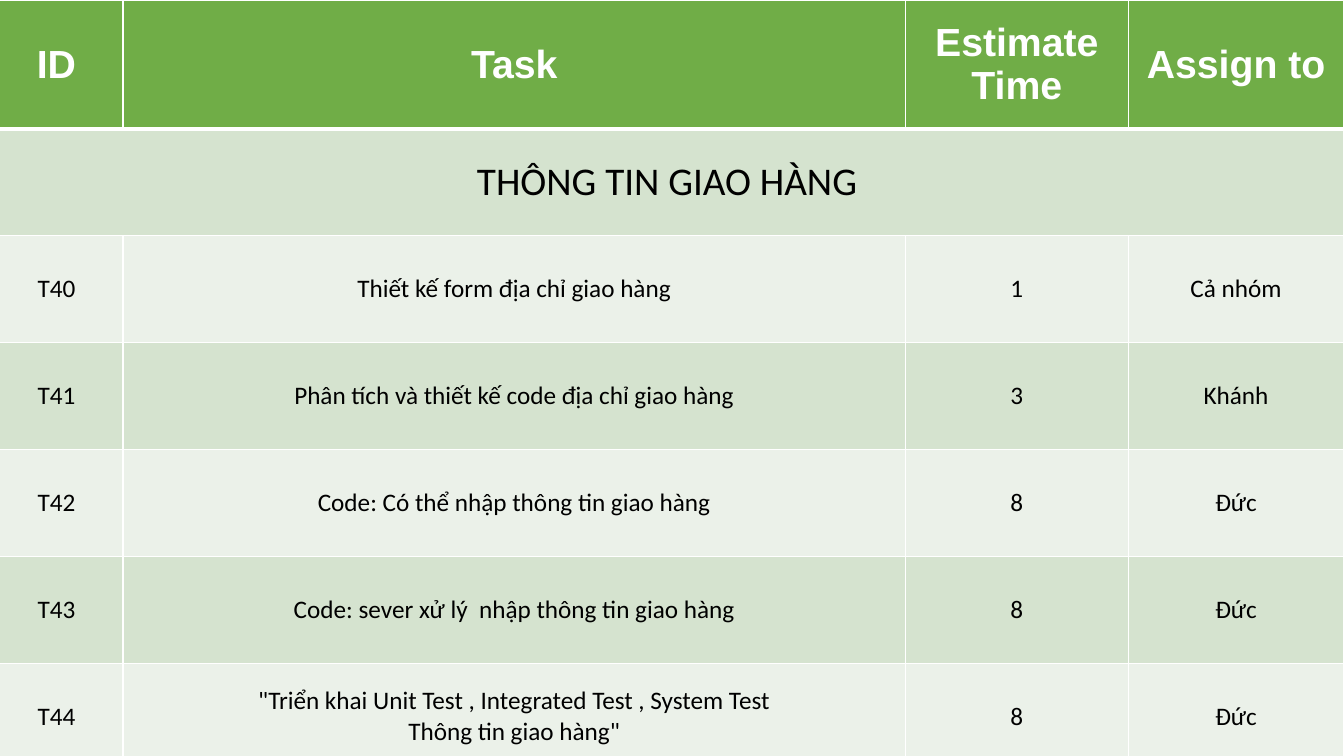
from lxml import etree
from pptx import Presentation
from pptx.dml.color import RGBColor
from pptx.enum.text import MSO_ANCHOR, PP_ALIGN
from pptx.oxml.ns import qn
from pptx.util import Inches, Pt

CENTER = PP_ALIGN.CENTER
MIDDLE = MSO_ANCHOR.MIDDLE
COLORS = {
    "head": "70AD47",
    "dark": "D5E3CF",
    "light": "EBF1E9",
    "white": "FFFFFF",
    "black": "000000",
}
COLS = [1.32, 7.76, 2.21, 2.14]
HEAD_H, ROW_H = 1.28, 1.06
HEADS = ["ID", "Task", "Estimate Time", "Assign to"]
TITLE = "THÔNG TIN GIAO HÀNG"
TASKS = [
    ("T40", "Thiết kế form địa chỉ giao hàng", "1", "Cả nhóm"),
    ("T41", "Phân tích và thiết kế code địa chỉ giao hàng", "3", "Khánh"),
    ("T42", "Code: Có thể nhập thông tin giao hàng", "8", "Đức"),
    ("T43", "Code: sever xử lý  nhập thông tin giao hàng", "8", "Đức"),
    ("T44", "\"Triển khai Unit Test , Integrated Test , System Test\n"
            "Thông tin giao hàng\"", "8", "Đức"),
]


def color(name):
    """Return the named colour."""
    return RGBColor.from_string(COLORS[name])


def add_edges(cell, top, bottom):
    """Draw white borders of the given widths around a cell."""
    props = cell._tc.get_or_add_tcPr()
    for side, width in (("L", 1), ("R", 1), ("T", top), ("B", bottom)):
        line = etree.SubElement(props, qn(f"a:ln{side}"), w=str(Pt(width)))
        fill = etree.SubElement(line, qn("a:solidFill"))
        etree.SubElement(fill, qn("a:srgbClr"), val=COLORS["white"])


def add_text(cell, text, size, font, ink, bold):
    """Write centred lines into a cell, one paragraph each."""
    cell.vertical_anchor = MIDDLE
    frame = cell.text_frame
    for i, line in enumerate(text.split("\n")):
        para = frame.add_paragraph() if i else frame.paragraphs[0]
        para.alignment = CENTER
        run = para.add_run()
        run.text = line
        run.font.size = Pt(size)
        run.font.name = font
        run.font.bold = bold
        run.font.color.rgb = color(ink)


def fill_row(table, row, texts, shade, size, font="Calibri", ink="black",
             bold=False):
    """Style one table row and write its texts."""
    for col in range(len(COLS)):
        cell = table.cell(row, col)
        add_edges(cell, 3 if row == 1 else 1, 3 if row == 0 else 1)
        cell.fill.solid()
        cell.fill.fore_color.rgb = color(shade)
    for col, text in enumerate(texts):
        add_text(table.cell(row, col), text, size, font, ink, bold)


def add_grid(slide):
    """Add the empty table with its column and row sizes."""
    count = len(TASKS) + 2
    high = HEAD_H + ROW_H * (count - 1)
    table = slide.shapes.add_table(
        count, len(COLS), Inches(-0.1), Inches(0),
        Inches(sum(COLS)), Inches(high)).table
    for col, width in zip(table.columns, COLS):
        col.width = Inches(width)
    for i, row in enumerate(table.rows):
        row.height = Inches(ROW_H if i else HEAD_H)
    return table


def main():
    """Build the task table slide."""
    deck = Presentation()
    deck.slide_width, deck.slide_height = Inches(13.33), Inches(7.5)
    slide = deck.slides.add_slide(deck.slide_layouts[6])
    table = add_grid(slide)
    fill_row(table, 0, HEADS, "head", 28, "Arial", "white", True)
    table.cell(1, 0).merge(table.cell(1, len(COLS) - 1))
    fill_row(table, 1, [TITLE], "dark", 28)
    for row, task in enumerate(TASKS, 2):
        fill_row(table, row, task, "dark" if row % 2 else "light", 18)
    deck.save("out.pptx")


if __name__ == "__main__":
    main()
